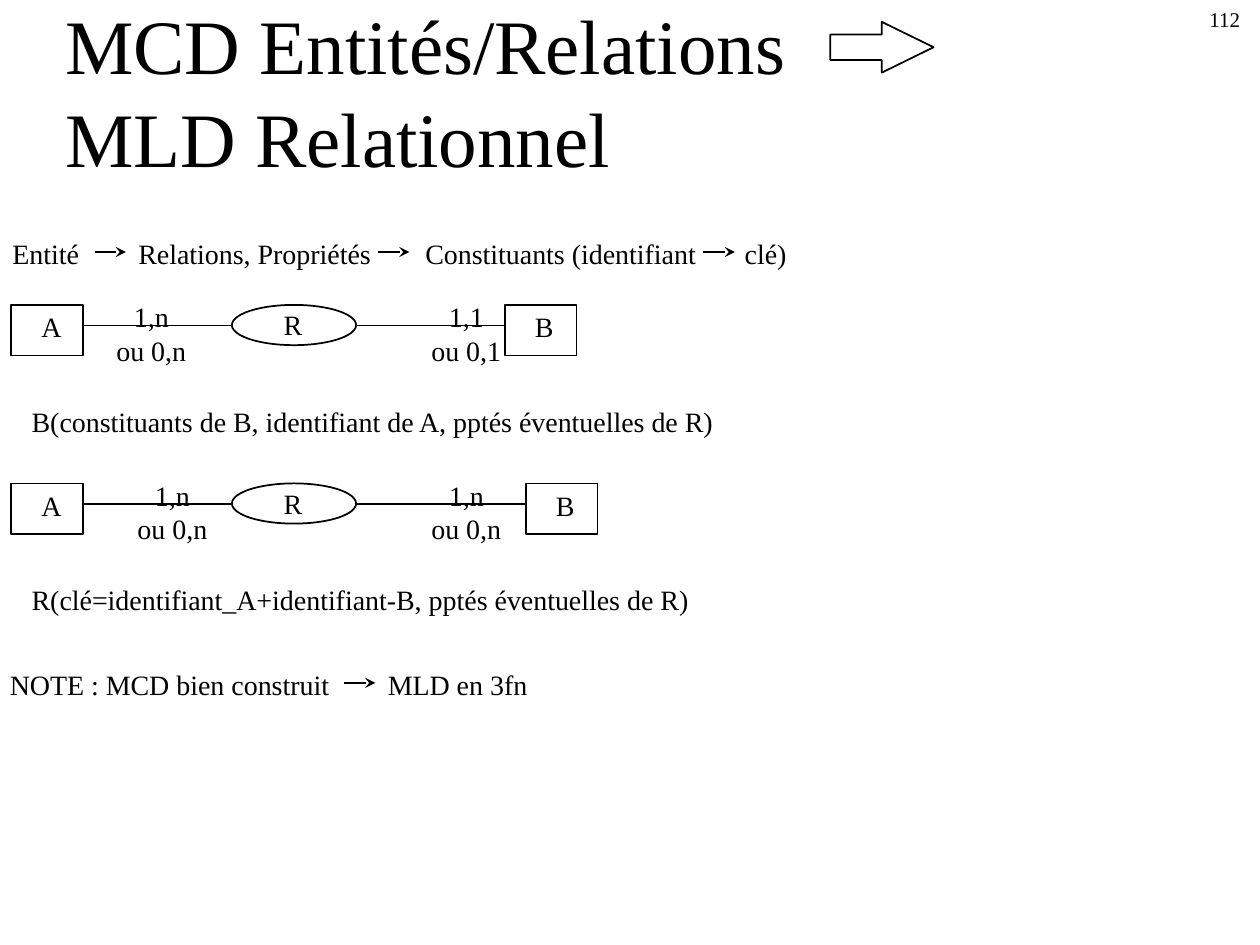
from lxml import etree
from pptx import Presentation
from pptx.dml.color import RGBColor
from pptx.enum import shapes, text
from pptx.oxml import ns
from pptx.util import Pt

BLACK = RGBColor(0, 0, 0)
FONT = "Times New Roman"
ROW_HEIGHT = 102


def style_paragraph(para, size, align=text.PP_ALIGN.LEFT):
    para.alignment = align
    para.font.name = FONT
    para.font.size = Pt(size)
    para.font.color.rgb = BLACK


def add_text(page, left, top, width, height, lines, size=16,
             align=text.PP_ALIGN.LEFT, wrap=False, tabs=()):
    box = page.shapes.add_textbox(Pt(left), Pt(top), Pt(width), Pt(height))
    box.text_frame.word_wrap = wrap
    box.text_frame.text = lines
    for para in box.text_frame.paragraphs:
        style_paragraph(para, size, align)
        if tabs:
            properties = para._p.get_or_add_pPr()
            tab_list = etree.Element(ns.qn("a:tabLst"))
            for position in tabs:
                etree.SubElement(tab_list, ns.qn("a:tab"),
                                 pos=str(int(Pt(position))), algn="l")
            properties.insert(0, tab_list)


def add_outline(page, kind, left, top, width, height):
    shape = page.shapes.add_shape(kind, Pt(left), Pt(top), Pt(width), Pt(height))
    shape.shadow.inherit = False
    shape.fill.background()
    shape.line.color.rgb = BLACK
    shape.line.width = Pt(1)
    return shape


def add_line(page, start, end, y, arrow=False):
    line = page.shapes.add_connector(
        shapes.MSO_CONNECTOR.STRAIGHT, Pt(start), Pt(y), Pt(end), Pt(y))
    line.line.color.rgb = BLACK
    line.line.width = Pt(1)
    if arrow:
        etree.SubElement(line.line._get_or_add_ln(), ns.qn("a:tailEnd"), type="stealth")
    etree.SubElement(line._element.spPr, ns.qn("a:effectLst"))


def add_heading(page, left, top, width, height):
    title = page.shapes.title
    title.left, title.top = Pt(left), Pt(top)
    title.width, title.height = Pt(width), Pt(height)
    frame = title.text_frame
    frame.text = "MCD Entités/Relations\vMLD Relationnel"
    frame.auto_size = text.MSO_AUTO_SIZE.NONE
    frame.vertical_anchor = text.MSO_ANCHOR.BOTTOM
    style_paragraph(frame.paragraphs[0], 44)
    arrow = add_outline(page, shapes.MSO_SHAPE.RIGHT_ARROW,
                        left + 444.5, top - 11.5, 59, 29)
    arrow.adjustments[0] = 0.5
    arrow.adjustments[1] = 1.02


def add_statement(page, left, top, width, lines, tabs, arrows):
    add_text(page, left, top, width, 26.5, lines, wrap=True, tabs=tabs)
    for start in arrows:
        add_line(page, left + start, left + start + 18, top + 12.25, arrow=True)


def add_association(page, left, top, b_left, label_left, labels, formula):
    for name, entity_left in (("A", 0), ("B", b_left)):
        add_outline(page, shapes.MSO_SHAPE.RECTANGLE, left + entity_left, top, 41, 29)
        add_text(page, left + entity_left + 10, top - 0.75, 26, 26.5, name)
    add_outline(page, shapes.MSO_SHAPE.OVAL, left + 126, top, 71, 23)
    add_text(page, left + 148.5, top - 2, 25, 26.5, "R")
    for start, end in ((41.5, 126), (197.5, b_left)):
        add_line(page, left + start, left + end, top + 11.75)
    for offset, label in zip((label_left, 232.5), labels):
        add_text(page, left + offset, top - 6.5, 55, 46, label,
                 align=text.PP_ALIGN.CENTER)
    add_text(page, left + 4.5, top + 53.25, 406, 26.5, formula)


deck = Presentation()
deck.slide_width, deck.slide_height = Pt(720), Pt(540)
page = deck.slides.add_slide(deck.slide_layouts[5])

add_heading(page, 30, 24, 609, 84)
add_statement(page, 0, 131.75, 714,
              "Entité\tRelations, Propriétés\tConstituants (identifiant\tclé)",
              (72, 236, 418.5), (54, 216, 402))

associations = (
    (282, 52.5, ("1,n\nou 0,n", "1,1\nou 0,1"),
     "B(constituants de B, identifiant de A, pptés éventuelles de R)"),
    (294, 64.5, ("1,n\nou 0,n", "1,n\nou 0,n"),
     "R(clé=identifiant_A+identifiant-B, pptés éventuelles de R)"),
)
for row, details in enumerate(associations):
    add_association(page, 6.5, 174.25 + row * ROW_HEIGHT, *details)

add_statement(page, -1.5, 378, 311, "NOTE : MCD bien construit\tMLD en 3fn",
              (216,), (198,))
add_text(page, 684, 0, 36, 21.5, "112", size=12, wrap=True)

deck.save("out.pptx")
